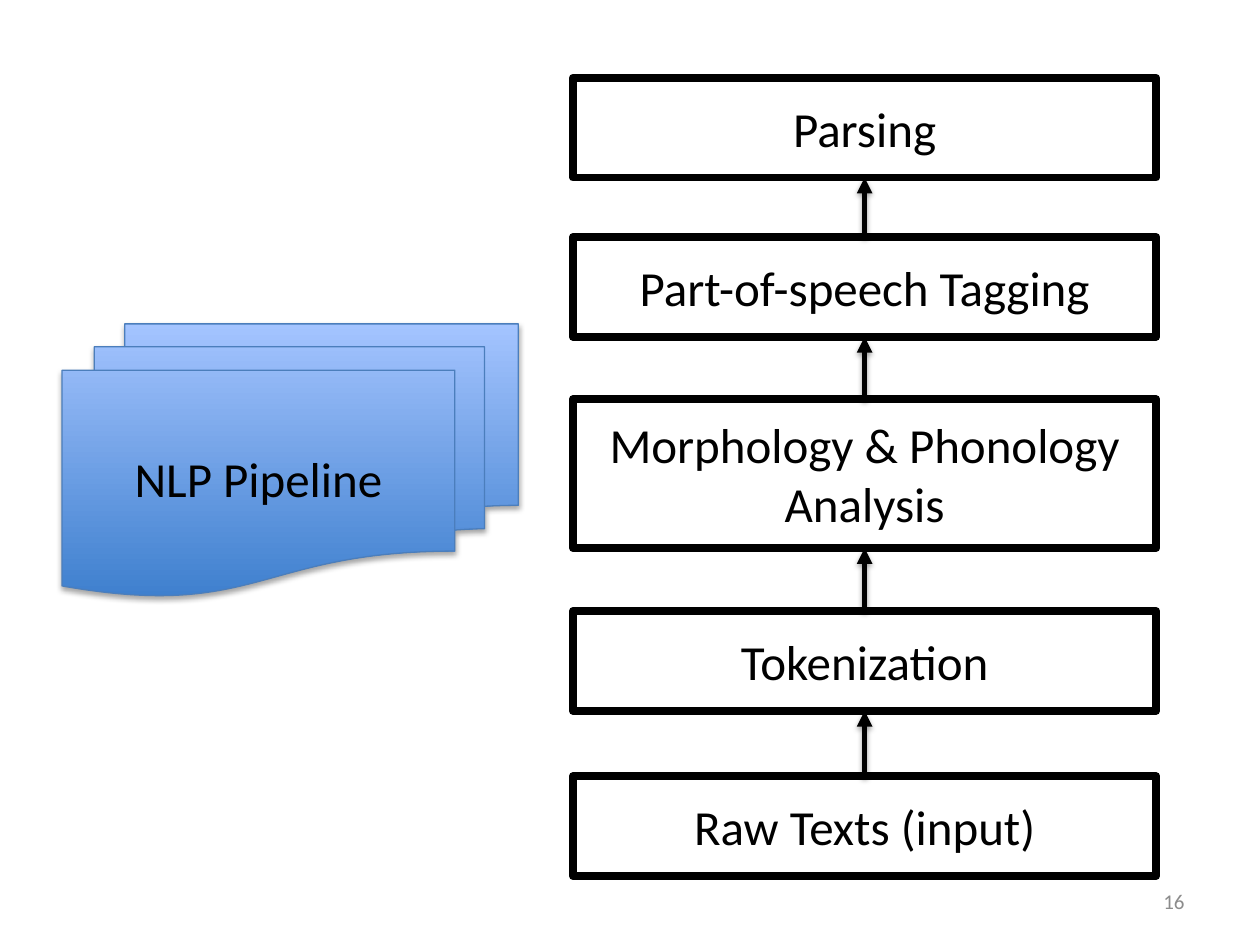
from lxml.etree import SubElement
from pptx import Presentation
from pptx.dml.color import RGBColor
from pptx.enum.shapes import MSO_CONNECTOR, MSO_SHAPE
from pptx.enum.text import MSO_ANCHOR, PP_ALIGN
from pptx.oxml.ns import qn
from pptx.util import Cm, Pt

STAGES = [
    ("Parsing", 0, 2.01),
    ("Part-of-speech Tagging", 3.21, 2.01),
    ("Morphology & Phonology Analysis", 6.48, 3),
    ("Tokenization", 10.75, 2.01),
    ("Raw Texts (input)", 14.08, 2.01),
]


def color(code):
    return RGBColor.from_string(code)


def write(shape, text, size=28, code="000000", align=PP_ALIGN.CENTER):
    frame = shape.text_frame
    frame.word_wrap = True
    frame.vertical_anchor = MSO_ANCHOR.MIDDLE
    line = frame.paragraphs[0]
    line.text = text
    line.alignment = align
    line.font.name = "Calibri"
    line.font.size = Pt(size)
    line.font.color.rgb = color(code)


def outline(shape, code, width):
    shape.line.color.rgb = color(code)
    shape.line.width = Pt(width)


def shade(shape, dist, alpha):
    effects = SubElement(shape._element.spPr, qn("a:effectLst"))
    outer = SubElement(effects, qn("a:outerShdw"), blurRad=str(Pt(3.1)),
                       dist=str(Pt(dist)), dir="5400000", rotWithShape="0")
    tint = SubElement(outer, qn("a:srgbClr"), val="000000")
    SubElement(tint, qn("a:alpha"), val=str(alpha * 1000))


def add_stage(slide, text, left, top, width, height):
    box = slide.shapes.add_shape(MSO_SHAPE.RECTANGLE, Cm(left), Cm(top), Cm(width), Cm(height))
    box.fill.solid()
    box.fill.fore_color.rgb = color("FFFFFF")
    outline(box, "000000", 4.5)
    box.shadow.inherit = False
    write(box, text)
    frame = box.text_frame
    frame.margin_left = frame.margin_right = Cm(0.2)
    frame.margin_top = frame.margin_bottom = Cm(0.1)
    return box


def add_arrow(slide, lower, upper):
    arrow = slide.shapes.add_connector(MSO_CONNECTOR.STRAIGHT, 0, 0, 0, 0)
    arrow.begin_connect(lower, 0)
    arrow.end_connect(upper, 2)
    outline(arrow, "000000", 3)
    SubElement(arrow.line._get_or_add_ln(), qn("a:tailEnd"), type="triangle")
    shade(arrow, 1.6, 38)


def add_stack(slide, left, top, width):
    boxes = [add_stage(slide, text, left, top + drop, width, height)
             for text, drop, height in STAGES]
    for upper, lower in zip(boxes, boxes[1:]):
        add_arrow(slide, lower, upper)


def add_papers(slide, left, top, width, height):
    papers = slide.shapes.add_shape(MSO_SHAPE.FLOWCHART_MULTIDOCUMENT,
                                    Cm(left), Cm(top), Cm(width), Cm(height))
    papers.fill.gradient()
    papers.fill.gradient_angle = 90
    for stop, code in zip(papers.fill.gradient_stops, ("3F80CE", "A4C4FF")):
        stop.color.rgb = color(code)
    outline(papers, "4B7EBC", 0.75)
    shade(papers, 1.8, 35)
    write(papers, "NLP Pipeline")


def add_number(slide, left, top, width, height):
    box = slide.shapes.add_textbox(Cm(left), Cm(top), Cm(width), Cm(height))
    write(box, "16", 12, "8C8C8C", PP_ALIGN.RIGHT)


def main():
    deck = Presentation()
    deck.slide_width, deck.slide_height = Cm(25.4), Cm(19.05)
    slide = deck.slides.add_slide(deck.slide_layouts[6])
    add_stack(slide, 11.55, 1.57, 11.76)
    add_papers(slide, 1.25, 6.53, 9.2, 5.49)
    add_number(slide, 18.2, 17.66, 5.93, 1.01)
    deck.save("out.pptx")


if __name__ == "__main__":
    main()
